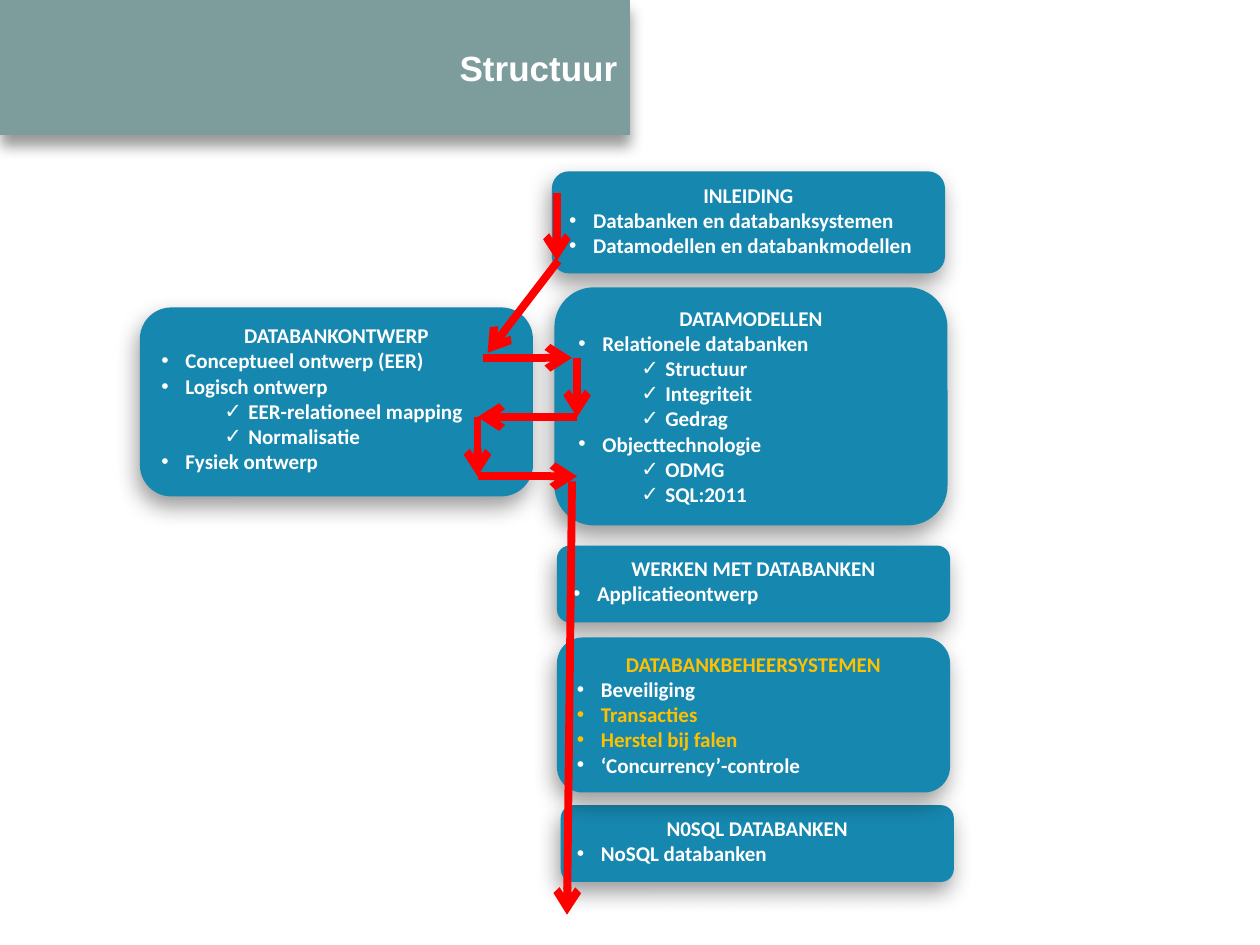
from dataclasses import dataclass

from lxml import etree
from pptx import Presentation
from pptx.dml.color import RGBColor
from pptx.enum import shapes, text
from pptx.oxml import ns
from pptx.util import Inches, Pt


@dataclass(frozen=True)
class Theme:
    banner: str = "7D9D9D"
    box: str = "1687AF"
    ink: str = "FFFFFF"
    current: str = "FFC000"
    route: str = "FF0000"
    title_font: str = "Arial"
    body_font: str = "Calibri"
    title_size: int = 20
    body_size: int = 12
    route_width: float = 4.5


THEME = Theme()
BOX_WIDTH = 3.12
BULLETS = "•✓"

# left, top, height, heading, [(level, topic)]
CHAPTERS = [
    (4.45, 6.39, 0.61, "N0SQL DATABANKEN", [(0, "NoSQL databanken")]),
    (4.38, 1.36, 0.81, "INLEIDING", [
        (0, "Databanken en databanksystemen"),
        (0, "Datamodellen en databankmodellen")]),
    (1.11, 2.44, 1.5, "DATABANKONTWERP", [
        (0, "Conceptueel ontwerp (EER)"), (0, "Logisch ontwerp"),
        (1, "EER-relationeel mapping"), (1, "Normalisatie"),
        (0, "Fysiek ontwerp")]),
    (4.4, 2.28, 1.89, "DATAMODELLEN", [
        (0, "Relationele databanken"), (1, "Structuur"), (1, "Integriteit"),
        (1, "Gedrag"), (0, "Objecttechnologie"), (1, "ODMG"),
        (1, "SQL:2011")]),
    (4.42, 4.33, 0.61, "WERKEN MET DATABANKEN", [(0, "Applicatieontwerp")]),
    (4.42, 5.06, 1.23, "DATABANKBEHEERSYSTEMEN", [
        (0, "Beveiliging"), (0, "Transacties"), (0, "Herstel bij falen"),
        (0, "‘Concurrency’-controle")]),
]
CURRENT = {"DATABANKBEHEERSYSTEMEN", "Transacties", "Herstel bij falen"}

# x and y of the start, x and y of the end
ROUTE = [
    (4.43, 2.07, 3.87, 2.8),
    (3.83, 2.84, 4.54, 2.84),
    (4.58, 3.31, 3.79, 3.31),
    (3.79, 3.78, 4.58, 3.78),
    (4.58, 2.84, 4.58, 3.31),
    (3.79, 3.31, 3.79, 3.78),
    (4.54, 3.82, 4.5, 7.26),
    (4.42, 1.53, 4.42, 2.07),
]


def add_xml(parent, tag, **attrs):
    el = etree.SubElement(parent, ns.qn(tag))
    for name, value in attrs.items():
        el.set(name, str(value))
    return el


def paint(sp, color, blur, angle):
    """Fill a shape, drop its outline and give it a soft shadow."""
    sp.fill.solid()
    sp.fill.fore_color.rgb = RGBColor.from_string(color)
    sp.line.fill.background()
    sp.shadow.inherit = False
    effects = sp._element.spPr.find(ns.qn("a:effectLst"))
    shadow = add_xml(effects, "a:outerShdw", blurRad=Pt(blur), dist=Pt(6),
                     dir=angle * 60000, algn="tl", rotWithShape=0)
    rgb = add_xml(shadow, "a:srgbClr", val="000000")
    add_xml(rgb, "a:alpha", val=40000)


def style(p, font, size, color):
    p.font.name = font
    p.font.size = Pt(size)
    p.font.bold = True
    p.font.color.rgb = RGBColor.from_string(color)


def set_bullet(p, level):
    p.level = level
    pPr = p._p.get_or_add_pPr()
    pPr.set("marL", str(Inches(0.19 + 0.5 * level)))
    pPr.set("indent", str(Inches(-0.19)))
    add_xml(pPr, "a:buFont", typeface=THEME.title_font)
    add_xml(pPr, "a:buChar", char=BULLETS[level])


def add_title(slide, left, top, width, height):
    sp = slide.shapes.title
    sp.left, sp.top = Inches(left), Inches(top)
    sp.width, sp.height = Inches(width), Inches(height)
    paint(sp, THEME.banner, 8, 90)
    tf = sp.text_frame
    tf.text = "Structuur"
    tf.auto_size = text.MSO_AUTO_SIZE.NONE
    tf.vertical_anchor = text.MSO_ANCHOR.MIDDLE
    p = tf.paragraphs[0]
    p.alignment = text.PP_ALIGN.RIGHT
    style(p, THEME.title_font, THEME.title_size, THEME.ink)


def add_chapter(slide, left, top, height, heading, topics):
    sp = slide.shapes.add_shape(
        shapes.MSO_SHAPE.ROUNDED_RECTANGLE, Inches(left), Inches(top),
        Inches(BOX_WIDTH), Inches(height))
    paint(sp, THEME.box, 13, 106)
    tf = sp.text_frame
    tf.word_wrap = True
    tf.vertical_anchor = text.MSO_ANCHOR.TOP
    tf.text = "\n".join([heading] + [topic for _, topic in topics])
    first, *rest = tf.paragraphs
    first.alignment = text.PP_ALIGN.CENTER
    for p, (level, _) in zip(rest, topics):
        p.alignment = text.PP_ALIGN.LEFT
        set_bullet(p, level)
    for p in tf.paragraphs:
        color = THEME.current if p.text in CURRENT else THEME.ink
        style(p, THEME.body_font, THEME.body_size, color)


def add_arrow(slide, *ends):
    line = slide.shapes.add_connector(
        shapes.MSO_CONNECTOR.STRAIGHT, *(Inches(v) for v in ends))
    line.line.color.rgb = RGBColor.from_string(THEME.route)
    line.line.width = Pt(THEME.route_width)
    spPr = line._element.spPr
    add_xml(spPr.find(ns.qn("a:ln")), "a:tailEnd", type="arrow")
    add_xml(spPr, "a:effectLst")


def main():
    prs = Presentation()
    prs.slide_width, prs.slide_height = Inches(10), Inches(7.5)
    slide = prs.slides.add_slide(prs.slide_layouts.get_by_name("Title Only"))
    add_title(slide, 0, 0, 5, 1.07)
    for chapter in CHAPTERS:
        add_chapter(slide, *chapter)
    for ends in ROUTE:
        add_arrow(slide, *ends)
    prs.save("out.pptx")


if __name__ == "__main__":
    main()
